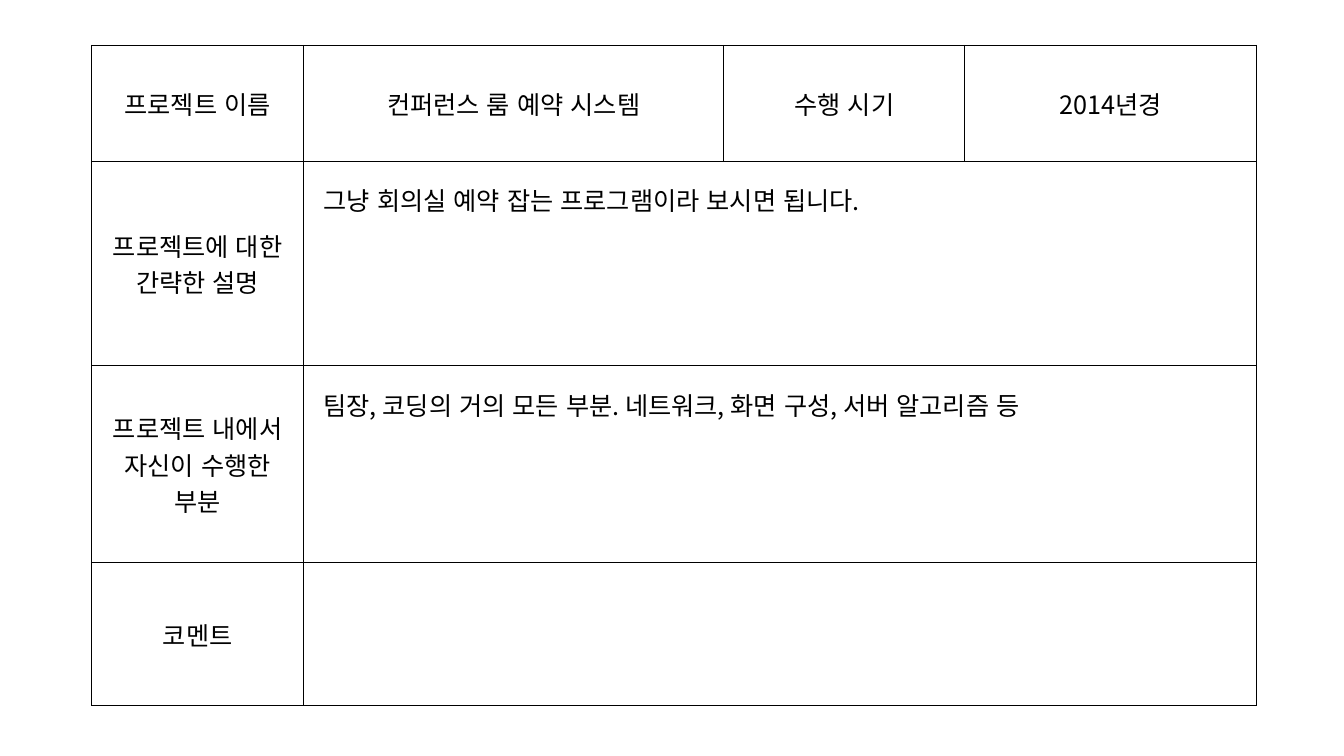
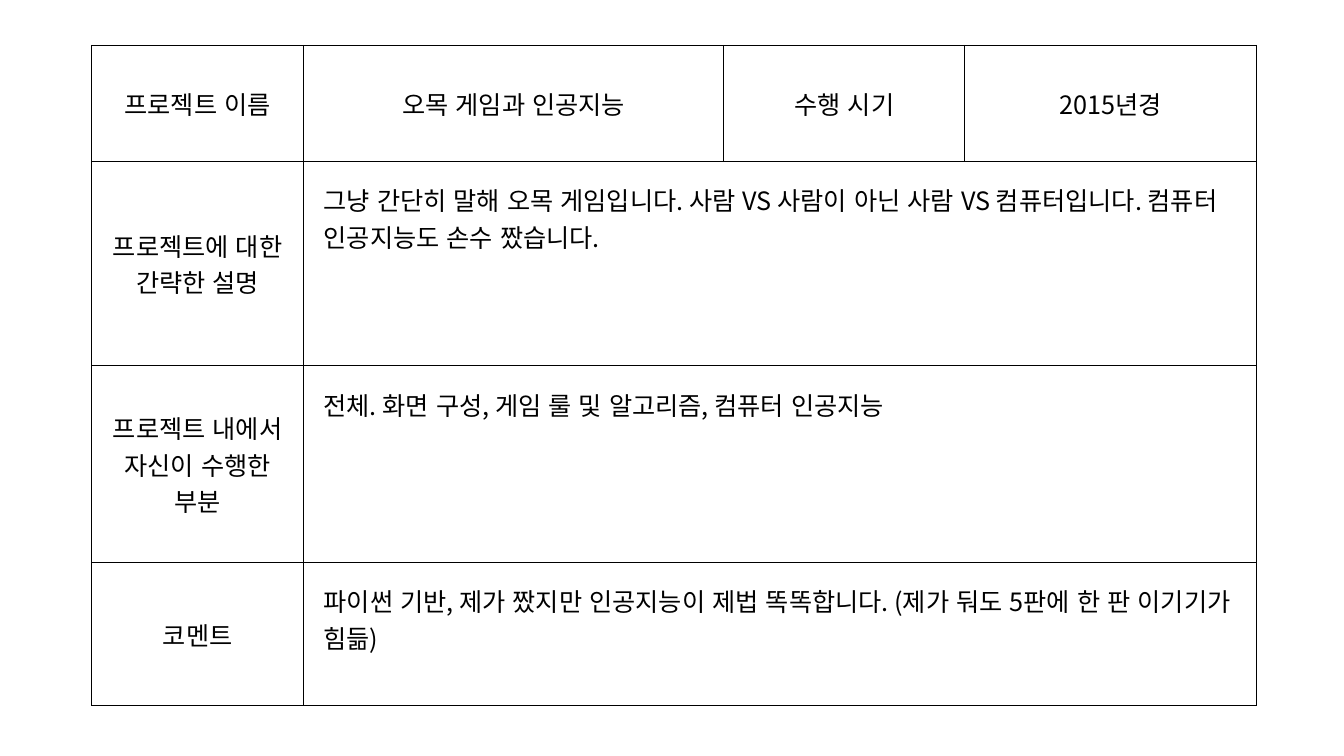
from dataclasses import dataclass

from lxml.etree import SubElement
from pptx import Presentation
from pptx.dml.color import RGBColor
from pptx.enum.lang import MSO_LANGUAGE_ID as Language
from pptx.enum.text import MSO_ANCHOR as Anchor, PP_ALIGN as Align
from pptx.oxml.ns import qn
from pptx.util import Inches, Pt

# Shared look
FONT = "Noto Sans CJK KR"
INK = "000000"
LEFT, TOP = 0.91, 0.45
COLUMNS = (2.1, 4.17, 2.39, 2.89)
ROWS = (1.15, 2.03, 1.95, 1.42)
NAME_LABEL, PERIOD_LABEL = "프로젝트 이름", "수행 시기"
SECTION_LABELS = (
    "프로젝트에 대한 간략한 설명",
    "프로젝트 내에서 자신이 수행한 부분",
    "코멘트",
)
FONT_FORMAT = {"name": FONT, "size": Pt(18), "language_id": Language.KOREAN}
LABEL_FORMAT = {"vertical_anchor": Anchor.MIDDLE}
BODY_FORMAT = {"vertical_anchor": Anchor.TOP} | {
    f"margin_{side}": Inches(0.2) for side in ("left", "right", "top", "bottom")
}


@dataclass(frozen=True)
class Project:
    name: str
    period: str
    description: str
    role: str
    comment: str = ""


PROJECTS = (
    Project(
        name="컨퍼런스 룸 예약 시스템",
        period="2014년경",
        description="그냥 회의실 예약 잡는 프로그램이라 보시면 됩니다.",
        role="팀장, 코딩의 거의 모든 부분. 네트워크, 화면 구성, 서버 알고리즘 등",
    ),
    Project(
        name="오목 게임과 인공지능",
        period="2015년경",
        description="그냥 간단히 말해 오목 게임입니다. 사람 VS 사람이 아닌 "
        "사람 VS 컴퓨터입니다. 컴퓨터 인공지능도 손수 짰습니다.",
        role="전체. 화면 구성, 게임 룰 및 알고리즘, 컴퓨터 인공지능",
        comment="파이썬 기반, 제가 짰지만 인공지능이 제법 똑똑합니다. "
        "(제가 둬도 5판에 한 판 이기기가 힘듦)",
    ),
)


def color(code: str) -> RGBColor:
    return RGBColor.from_string(code)


def apply(target, values: dict) -> None:
    for name, value in values.items():
        setattr(target, name, value)


# Cell styling
def draw_borders(cell) -> None:
    cell.fill.background()
    properties = cell._tc.get_or_add_tcPr()
    for position, side in enumerate(("lnL", "lnR", "lnT", "lnB")):
        line = SubElement(properties, qn(f"a:{side}"), w=str(Pt(1)))
        fill = SubElement(line, qn("a:solidFill"))
        SubElement(fill, qn("a:srgbClr"), val=INK)
        properties.insert(position, line)


def write(cell, text: str, cell_format: dict, align: Align) -> None:
    apply(cell, cell_format)
    if not text:
        return
    para = cell.text_frame.paragraphs[0]
    para.alignment = align
    span = para.add_run()
    span.text = text
    apply(span.font, FONT_FORMAT)
    span.font.color.rgb = color(INK)
    SubElement(span.font._element, qn("a:ea"), typeface=FONT)


# Project sheet
def add_sheet(deck, project: Project) -> None:
    page = deck.slides.add_slide(deck.slide_layouts[6])
    table = page.shapes.add_table(
        len(ROWS), len(COLUMNS), Inches(LEFT), Inches(TOP),
        Inches(sum(COLUMNS)), Inches(sum(ROWS)),
    ).table
    apply(table, {"first_row": False, "horz_banding": False})
    for column, width in zip(table.columns, COLUMNS):
        column.width = Inches(width)
    for row, height in zip(table.rows, ROWS):
        row.height = Inches(height)
    for cell in table.iter_cells():
        draw_borders(cell)

    heading = (NAME_LABEL, project.name, PERIOD_LABEL, project.period)
    for index, text in enumerate(heading):
        write(table.cell(0, index), text, LABEL_FORMAT, Align.CENTER)

    bodies = (project.description, project.role, project.comment)
    for index, (label, body) in enumerate(zip(SECTION_LABELS, bodies), start=1):
        write(table.cell(index, 0), label, LABEL_FORMAT, Align.CENTER)
        body_cell = table.cell(index, 1)
        body_cell.merge(table.cell(index, len(COLUMNS) - 1))
        write(body_cell, body, BODY_FORMAT, Align.LEFT)


def main() -> None:
    deck = Presentation()
    apply(deck, {"slide_width": Inches(13.33), "slide_height": Inches(7.5)})
    for project in PROJECTS:
        add_sheet(deck, project)
    deck.save("out.pptx")


main()
